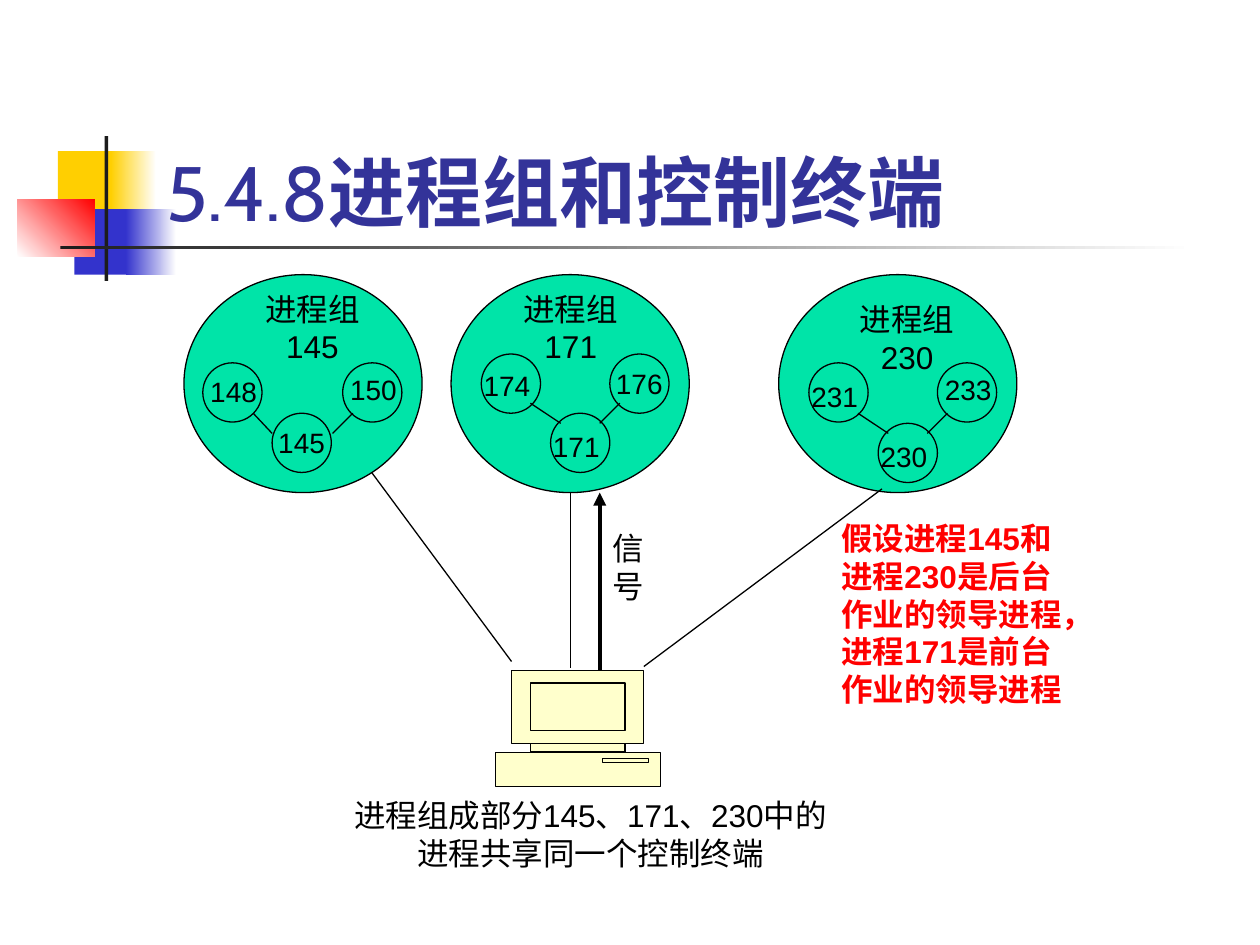
from dataclasses import dataclass

from lxml import etree
from pptx import Presentation
from pptx.dml.color import RGBColor
from pptx.enum.shapes import MSO_CONNECTOR, MSO_SHAPE
from pptx.enum.text import MSO_ANCHOR, MSO_AUTO_SIZE, PP_ALIGN
from pptx.oxml.ns import qn
from pptx.util import Inches, Pt

BLACK = RGBColor(0x00, 0x00, 0x00)
CHARCOAL = RGBColor(0x1C, 0x1C, 0x1C)
WHITE = RGBColor(0xFF, 0xFF, 0xFF)
YELLOW = RGBColor(0xFF, 0xCF, 0x01)
BLUE = RGBColor(0x33, 0x33, 0xCC)
RED = RGBColor(0xFF, 0x00, 0x00)
GREEN = RGBColor(0x00, 0xE4, 0xA8)
CREAM = RGBColor(0xFF, 0xFF, 0xCC)
TITLE_BLUE = RGBColor(0x33, 0x33, 0x99)

RECT = MSO_SHAPE.RECTANGLE
OVAL = MSO_SHAPE.OVAL
LEFT = PP_ALIGN.LEFT
CENTER = PP_ALIGN.CENTER
STRAIGHT = MSO_CONNECTOR.STRAIGHT

GROUP_TOP, GROUP_WIDTH, GROUP_HEIGHT = 2.18, 1.89, 1.73
PROCESS_SIZE = 0.47


@dataclass
class ProcessGroup:
    left: float
    name: str
    name_at: tuple
    processes: list
    branches: list


GROUPS = [
    ProcessGroup(
        1.46, "145", (1.93, 2.25),
        [("148", (1.61, 2.88), (1.57, 2.92)),
         ("145", (2.16, 3.28), (2.11, 3.33)),
         ("150", (2.72, 2.88), (2.68, 2.91))],
        [(2.16, 3.44, 2.01, 3.28), (2.64, 3.44, 2.8, 3.28)]),
    ProcessGroup(
        3.58, "171", (3.98, 2.25),
        [("174", (3.82, 2.81), (3.74, 2.88)),
         ("171", (4.37, 3.28), (4.29, 3.36)),
         ("176", (4.84, 2.81), (4.79, 2.86))],
        [(4.45, 3.36, 4.21, 3.2), (4.76, 3.36, 4.92, 3.2)]),
    ProcessGroup(
        6.18, "230", (6.65, 2.33),
        [("231", (6.42, 2.88), (6.34, 2.96)),
         ("230", (6.97, 3.36), (6.89, 3.44)),
         ("233", (7.44, 2.88), (7.4, 2.91))],
        [(7.05, 3.44, 6.81, 3.28), (7.36, 3.44, 7.52, 3.28)]),
]

TERMINAL_OUTLINE = [
    (4.96, 5.97), (4.96, 5.9), (5.11, 5.9), (5.11, 5.32), (4.06, 5.32), (4.06, 5.9),
    (4.21, 5.9), (4.21, 5.97), (3.93, 5.97), (3.93, 6.24), (5.24, 6.24), (5.24, 5.97),
]
TERMINAL_PARTS = [
    (4.21, 5.9, 0.75, 0.07),
    (4.21, 5.42, 0.75, 0.38),
    (4.78, 6.02, 0.37, 0.03),
]
TERMINAL_LINKS = [
    (5.11, 5.29, 7, 3.88),
    (4.53, 3.91, 4.53, 5.3),
    (2.95, 3.75, 4.06, 5.25),
]


def paint(shape, color, outlined):
    shape.shadow.inherit = False
    shape.fill.solid()
    shape.fill.fore_color.rgb = color
    if outlined:
        shape.line.color.rgb = BLACK
        shape.line.width = Pt(0.75)
    else:
        shape.line.fill.background()


def add_block(slide, kind, box, color, outlined=True):
    block = slide.shapes.add_shape(kind, *map(Inches, box))
    paint(block, color, outlined)
    return block


def add_fade(slide, box, start, end, angle=0):
    fill = add_block(slide, RECT, box, start, False).fill
    fill.gradient()
    fill.gradient_angle = angle
    for stop, position, color in zip(fill.gradient_stops, (0, 1), (start, end)):
        stop.position = position
        stop.color.rgb = color


def add_link(slide, ends, width=0.75, arrow=False):
    link = slide.shapes.add_connector(STRAIGHT, *map(Inches, ends))
    link.line.color.rgb = BLACK
    link.line.width = Pt(width)
    if arrow:
        etree.SubElement(link.line._get_or_add_ln(), qn("a:tailEnd"), type="triangle")
    etree.SubElement(link._element.spPr, qn("a:effectLst"))


def add_run(paragraph, text, font, size, color, bold=False):
    run = paragraph.add_run()
    run.text = text
    run.font.name = font
    run.font.size = Pt(size)
    run.font.color.rgb = color
    run.font.bold = bold


def add_label(slide, box, text, size=18, align=LEFT, color=BLACK, bold=False):
    frame = slide.shapes.add_textbox(*map(Inches, box)).text_frame
    frame.word_wrap = True
    frame.auto_size = MSO_AUTO_SIZE.SHAPE_TO_FIT_TEXT
    paragraph = frame.paragraphs[0]
    paragraph.alignment = align
    paragraph.space_before = Pt(11.2 if size == 18 else 10)
    add_run(paragraph, text, "Arial", size, color, bold)


def add_ornament(slide):
    add_block(slide, RECT, (0.46, 1.2, 0.48, 0.52), YELLOW, False)
    add_fade(slide, (0.88, 1.2, 0.36, 0.52), YELLOW, WHITE)
    add_block(slide, RECT, (0.59, 1.66, 0.46, 0.52), BLUE, False)
    add_fade(slide, (1, 1.66, 0.4, 0.52), BLUE, WHITE)
    add_fade(slide, (0.14, 1.58, 0.61, 0.46), WHITE, RED, 45)
    add_block(slide, RECT, (0.83, 1.08, 0.03, 1.15), CHARCOAL, False)
    add_fade(slide, (0.48, 1.95, 9, 0.03), CHARCOAL, WHITE)


def add_title(slide):
    title = slide.shapes.title
    title.left, title.top, title.width, title.height = map(Inches, (1.22, 0.6, 6.93, 1.33))
    frame = title.text_frame
    frame.auto_size = MSO_AUTO_SIZE.NONE
    frame.vertical_anchor = MSO_ANCHOR.BOTTOM
    paragraph = frame.paragraphs[0]
    paragraph.alignment = LEFT
    add_run(paragraph, "5.4.8", "Cabin", 44, TITLE_BLUE)
    add_run(paragraph, "进程组和控制终端", "Cabin", 44, TITLE_BLUE, True)
    slide.shapes._spTree.append(title._element)


def add_group(slide, group):
    add_block(slide, OVAL, (group.left, GROUP_TOP, GROUP_WIDTH, GROUP_HEIGHT), GREEN)
    add_label(slide, (*group.name_at, 1.1, 0.7), "进程组" + group.name, align=CENTER)
    for number, circle_at, number_at in group.processes:
        add_block(slide, OVAL, (*circle_at, PROCESS_SIZE, PROCESS_SIZE), GREEN)
        add_label(slide, (*number_at, 0.71, 0.37), number, 16)
    for branch in group.branches:
        add_link(slide, branch)


def add_terminal(slide):
    corners = [(Inches(x), Inches(y)) for x, y in TERMINAL_OUTLINE]
    builder = slide.shapes.build_freeform(*corners[0])
    builder.add_line_segments(corners[1:], close=True)
    paint(builder.convert_to_shape(), CREAM, True)
    for part in TERMINAL_PARTS:
        add_block(slide, RECT, part, CREAM)
    for ends in TERMINAL_LINKS:
        add_link(slide, ends)
    add_link(slide, (4.76, 5.32, 4.76, 3.91), 2.5, True)


def main():
    deck = Presentation()
    deck.slide_width, deck.slide_height = Inches(10), Inches(7.5)
    slide = deck.slides.add_slide(deck.slide_layouts[5])
    add_ornament(slide)
    for group in GROUPS:
        add_group(slide, group)
    add_terminal(slide)
    add_label(slide, (2.64, 6.27, 4.09, 0.7),
              "进程组成部分145、171、230中的进程共享同一个控制终端", align=CENTER)
    add_label(slide, (4.76, 4.15, 0.47, 0.7), "信号")
    add_label(slide, (6.58, 4.07, 2.05, 1.6),
              "假设进程145和进程230是后台作业的领导进程，进程171是前台作业的领导进程",
              color=RED, bold=True)
    add_title(slide)
    deck.save("out.pptx")


if __name__ == "__main__":
    main()
